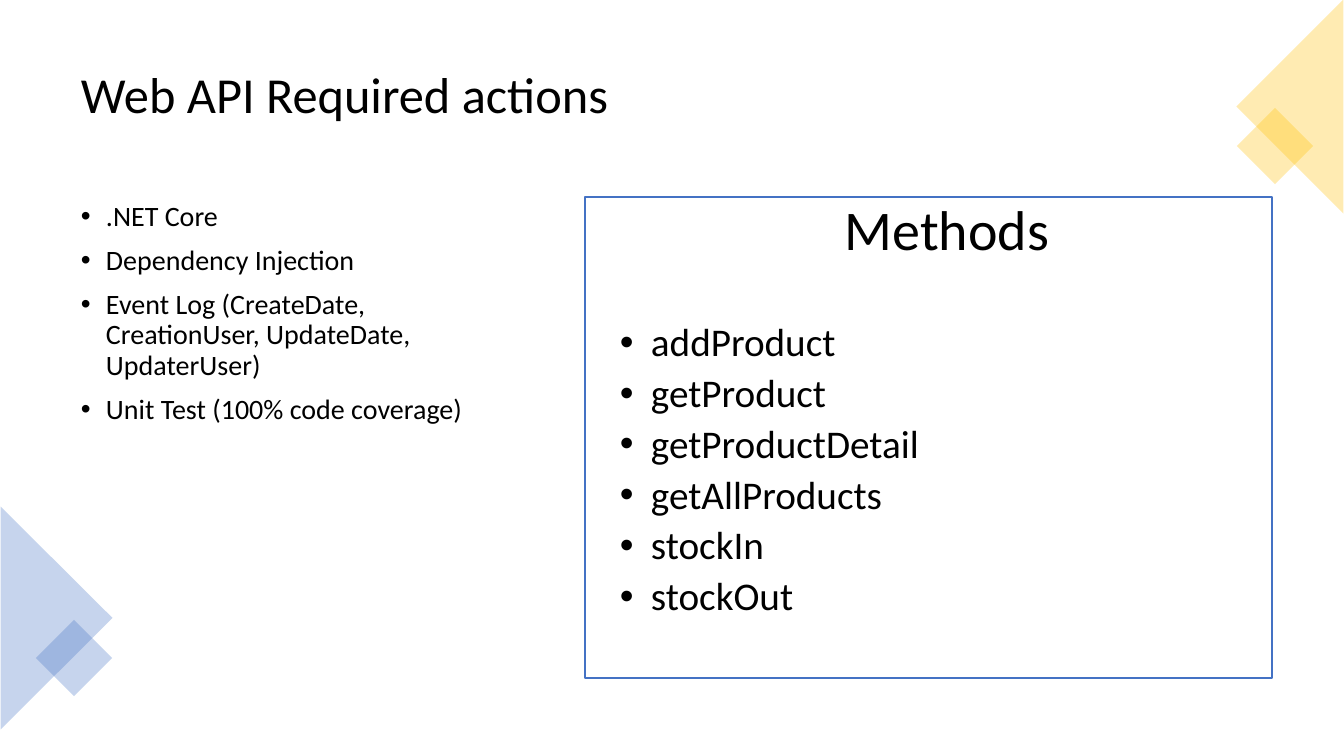
from lxml.etree import SubElement
from pptx import Presentation
from pptx.dml.color import RGBColor
from pptx.enum.shapes import MSO_SHAPE
from pptx.enum.text import MSO_ANCHOR, MSO_AUTO_SIZE, PP_ALIGN
from pptx.oxml.ns import qn
from pptx.util import Emu, Pt

SCALE = 914400 / 100.8
BLUE, GOLD, WHITE, BLACK = "4472C4", "FFC000", "FFFFFF", "000000"


def px(n):
    """Turn pixels into EMU."""
    return Emu(round(n * SCALE))


def rgb(value):
    """Turn a hex string into a colour."""
    return RGBColor.from_string(value)


def write(tf, lines, size, color=BLACK, font="Calibri", align=PP_ALIGN.LEFT,
          anchor=MSO_ANCHOR.TOP, before=0, after=0, indent=0):
    """Fill a text frame with paragraphs, bulleted when indent is given."""
    tf.word_wrap = True
    tf.auto_size = MSO_AUTO_SIZE.NONE
    tf.vertical_anchor = anchor
    tf.margin_left = tf.margin_right = px(10)
    tf.margin_top = tf.margin_bottom = px(5)
    for i, line in enumerate(lines):
        p = tf.add_paragraph() if i else tf.paragraphs[0]
        p.alignment = align
        p.line_spacing = 0.9
        p.space_before, p.space_after = Pt(before), Pt(after)
        if indent:
            pPr = p._p.get_or_add_pPr()
            pPr.set("marL", str(px(indent)))
            pPr.set("indent", str(-px(indent)))
            SubElement(pPr, qn("a:buFont"), typeface="Arial")
            SubElement(pPr, qn("a:buChar"), char="\u2022")
        r = p.add_run()
        r.text = line
        r.font.size, r.font.name = Pt(size), font
        r.font.color.rgb = rgb(color)


class Deck:
    """Hold the style and the current slide."""

    def __init__(self):
        """Start a widescreen deck with one title-and-content slide."""
        self.prs = Presentation()
        self.prs.slide_width, self.prs.slide_height = px(1344), px(756)
        self.s = self.prs.slides.add_slide(self.prs.slide_layouts[1])

    def placeholder(self, idx, box, lines, size, **fmt):
        """Move a template placeholder and fill it."""
        sp = self.s.placeholders[idx]
        sp.left, sp.top, sp.width, sp.height = map(px, box)
        write(sp.text_frame, lines, size, **fmt)

    def text(self, box, lines, size, **fmt):
        """Add a text box."""
        sp = self.s.shapes.add_textbox(*map(px, box))
        write(sp.text_frame, lines, size, **fmt)

    def shape(self, kind, box, fill, line=None, rotation=0, alpha=None):
        """Add a preset shape, with opacity in percent."""
        sp = self.s.shapes.add_shape(kind, *map(px, box))
        sp.shadow.inherit = False
        sp.rotation = rotation
        sp.fill.solid()
        sp.fill.fore_color.rgb = rgb(fill)
        if alpha is not None:
            clr = sp._element.spPr.find(qn("a:solidFill"))[0]
            SubElement(clr, qn("a:alpha"), val=str(alpha * 1000))
        if line:
            sp.line.color.rgb = rgb(line)
            sp.line.width = Pt(1)
        else:
            sp.line.fill.background()


deck = Deck()
deck.placeholder(0, (71, 35, 1203, 125), ["Web API Required actions"], 36,
                 anchor=MSO_ANCHOR.MIDDLE)
deck.placeholder(1, (71, 197, 442, 485), [
    ".NET Core",
    "Dependency Injection",
    "Event Log (CreateDate, CreationUser, UpdateDate, UpdaterUser)",
    "Unit Test (100% code coverage)",
], 20, before=10, indent=25)

TRIANGLE, SQUARE = MSO_SHAPE.ISOSCELES_TRIANGLE, MSO_SHAPE.RECTANGLE
for kind, box, color, rotation in [
    (TRIANGLE, (-55, 562, 223, 112), BLUE, 90),
    (SQUARE, (47, 631, 54, 54), BLUE, 45),
    (SQUARE, (1248, 119, 54, 54), GOLD, 45),
    (TRIANGLE, (1183, 53, 214, 107), GOLD, 270),
]:
    deck.shape(kind, box, color, rotation=rotation, alpha=30)

deck.shape(SQUARE, (585, 197, 687, 481), WHITE, line=BLUE)
deck.text((709, 197, 476, 111), ["Methods"], 40, align=PP_ALIGN.CENTER, after=6)
deck.text((610, 318, 510, 312), [
    "addProduct", "getProduct", "getProductDetail",
    "getAllProducts", "stockIn", "stockOut",
], 28, after=6, indent=31)

deck.prs.save("out.pptx")
